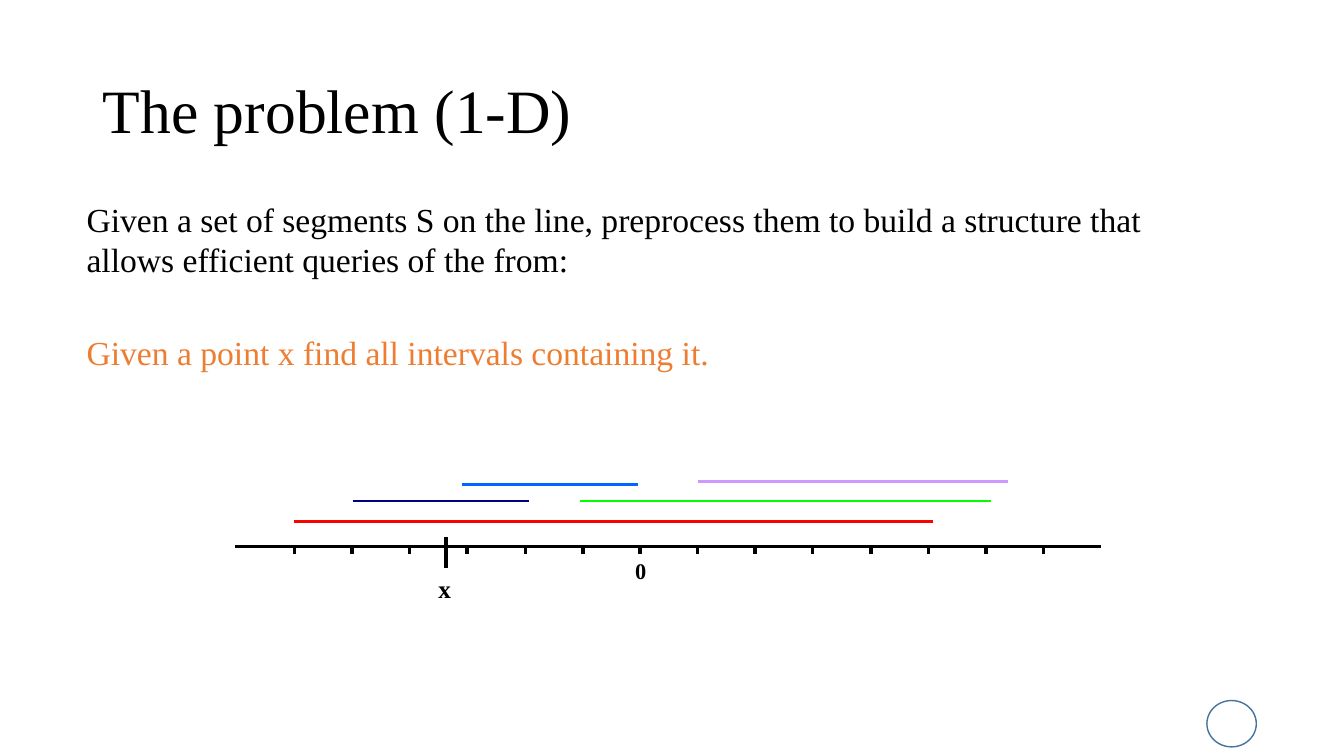
"""Build the one-dimensional segment query slide with its number line."""
import pptx
import pptx.dml.color
import pptx.enum.shapes
import pptx.enum.text
import pptx.oxml.ns
import pptx.util
from lxml import etree

PX = 9144
THEME = {
    "font": "Times New Roman",
    "black": "000000", "accent": "ED7D31", "ring": "43739E",
    "red": "FF0000", "green": "00FF00", "violet": "CC99FF",
    "navy": "000080", "blue": "0066FF",
    "title": 44, "body": 24, "point": 18, "origin": 16,
}


def add_line(start, end, color, width):
    """Draw a straight line without a shadow between two points."""
    line = slide.shapes.add_connector(
        pptx.enum.shapes.MSO_CONNECTOR.STRAIGHT,
        *[value * PX for value in (*start, *end)])
    line.line.color.rgb = pptx.dml.color.RGBColor.from_string(THEME[color])
    line.line.width = pptx.util.Pt(width)
    etree.SubElement(line._element.spPr, pptx.oxml.ns.qn("a:effectLst"))


def add_run(paragraph, text, size, color="black", bold=False):
    """Append a formatted run to a paragraph."""
    run = paragraph.add_run()
    run.text = text
    run.font.name = THEME["font"]
    run.font.size = pptx.util.Pt(THEME[size])
    run.font.bold = bold
    run.font.color.rgb = pptx.dml.color.RGBColor.from_string(THEME[color])


presentation = pptx.Presentation()
presentation.slide_width = 1333 * PX
presentation.slide_height = 750 * PX
slide = presentation.slides.add_slide(presentation.slide_layouts[5])

ring = slide.shapes.add_shape(
    pptx.enum.shapes.MSO_SHAPE.OVAL, 1197 * PX, 695 * PX, 49 * PX, 46 * PX)
ring.shadow.inherit = False
ring.fill.background()
ring.line.color.rgb = pptx.dml.color.RGBColor.from_string(THEME["ring"])
ring.line.width = pptx.util.Pt(1)

title = slide.shapes.title
title.left, title.top, title.width, title.height = (
    92 * PX, 40 * PX, 1150 * PX, 145 * PX)
title.text_frame.auto_size = pptx.enum.text.MSO_AUTO_SIZE.NONE
title.text_frame.vertical_anchor = pptx.enum.text.MSO_ANCHOR.MIDDLE
heading = title.text_frame.paragraphs[0]
heading.alignment = pptx.enum.text.PP_ALIGN.LEFT
heading.line_spacing = 0.9
add_run(heading, "The problem (1-D)", "title")

body = slide.shapes.add_textbox(76 * PX, 192 * PX, 1118 * PX, 188 * PX)
body.text_frame.word_wrap = True
statement = body.text_frame.paragraphs[0]
add_run(statement, "Given a set of segments S on the line, preprocess them to "
        "build a structure that allows efficient queries of the from:", "body")
query = body.text_frame.add_paragraph()
query.space_before = pptx.util.Pt(38)
add_run(query, "Given a point x find all intervals containing it.", "body", "accent")

AXIS_Y = 542
FIRST_TICK = 292
TICK_STEP = 57.15
TICK_COUNT = 14
PIECE_WIDTH = 59
for index in range(TICK_COUNT + 1):
    tick_x = round(FIRST_TICK + index * TICK_STEP)
    add_line((tick_x - PIECE_WIDTH, AXIS_Y), (tick_x, AXIS_Y), "black", 2.5)
    if index < TICK_COUNT:
        add_line((tick_x, AXIS_Y), (tick_x, AXIS_Y + 8), "black", 2.5)

segments = [
    (292, 925, 517, "red"),
    (575, 983, 497, "green"),
    (692, 1000, 478, "violet"),
    (350, 525, 497, "navy"),
    (458, 633, 481, "blue"),
]
for left, right, y, color in segments:
    add_line((left, y), (right, y), color, 2)

add_line((442, 533), (442, 564), "black", 3)

labels = [
    ("0", 620, 548, 31, 37, "origin", False),
    ("x", 425, 564, 42, 40, "point", True),
]
for text, left, top, width, height, size, wrap in labels:
    label = slide.shapes.add_textbox(left * PX, top * PX, width * PX, height * PX)
    label.text_frame.word_wrap = wrap
    add_run(label.text_frame.paragraphs[0], text, size, bold=True)

presentation.save("out.pptx")
